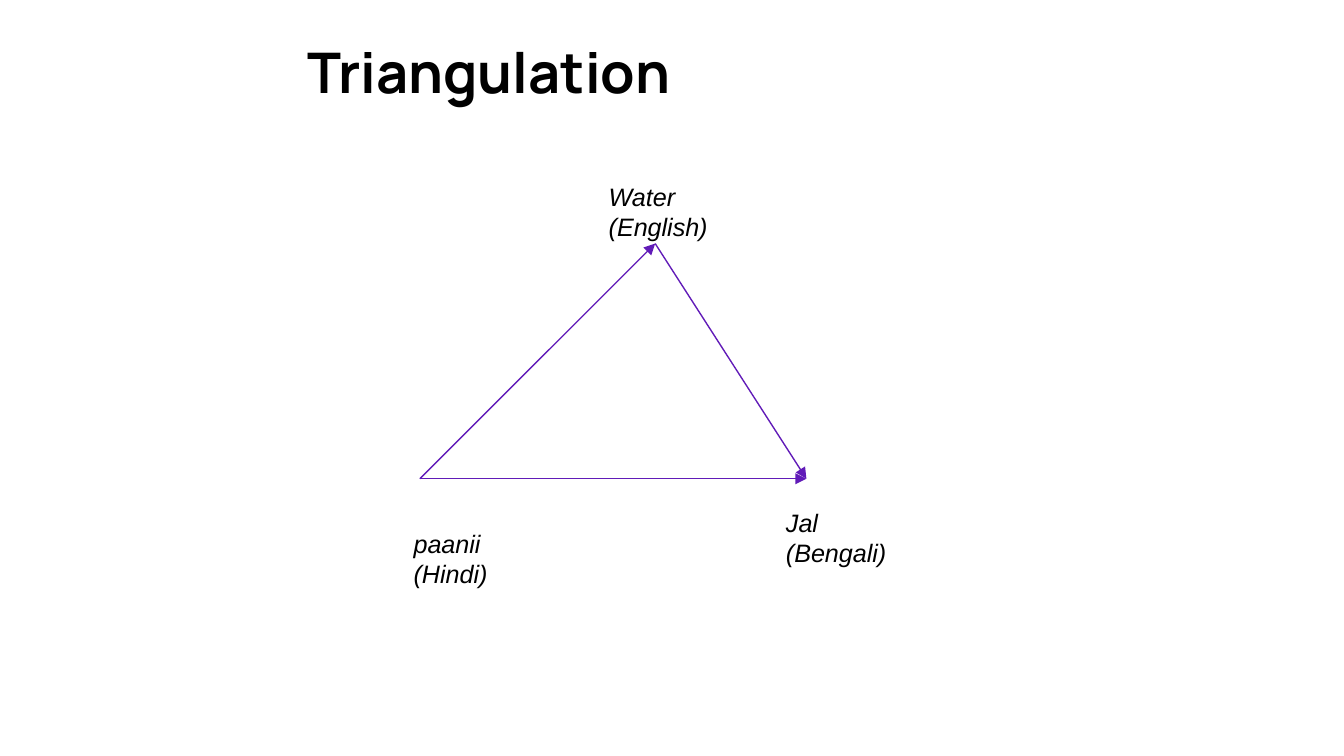
from dataclasses import dataclass

from lxml.etree import SubElement
from pptx import Presentation
from pptx.dml.color import RGBColor as RGB
from pptx.enum.shapes import MSO_CONNECTOR as CONNECTOR
from pptx.enum.text import MSO_ANCHOR as ANCHOR, MSO_AUTO_SIZE as AUTO_SIZE
from pptx.oxml.ns import qn
from pptx.util import Pt


@dataclass(frozen=True)
class Theme:
    text: RGB = RGB(0x00, 0x00, 0x00)
    arrow: RGB = RGB(0x61, 0x1B, 0xB8)
    background: RGB = RGB(0xFF, 0xFF, 0xFF)
    title_font: str = "Manrope"
    label_font: str = "Arial"
    title_size: float = 30
    label_size: float = 13.5
    arrow_width: float = 0.75


THEME = Theme()

# Corners of the triangle
HINDI, ENGLISH, BENGALI = (225, 256.5), (351, 130.5), (432, 256.5)


def add_text(s, box, lines, font, size, bold=False, italic=False, wrap=True):
    tf = s.shapes.add_textbox(*map(Pt, box)).text_frame
    tf.word_wrap = wrap
    tf.vertical_anchor = ANCHOR.TOP
    tf.text = "\n".join(lines)
    for p in tf.paragraphs:
        p.font.name, p.font.size = font, Pt(size)
        p.font.bold, p.font.italic = bold, italic
        p.font.color.rgb = THEME.text
    return tf


def add_title(s, text):
    tf = add_text(s, (157.5, 13, 460, 58.5), [text],
                  THEME.title_font, THEME.title_size, bold=True)
    tf.margin_left = tf.margin_right = tf.margin_top = tf.margin_bottom = Pt(7.2)


def add_label(s, left, top, width, word, language, wrap=False):
    tf = add_text(s, (left, top, width, 40), [word, f"({language})"],
                  THEME.label_font, THEME.label_size, italic=True, wrap=wrap)
    tf.auto_size = AUTO_SIZE.SHAPE_TO_FIT_TEXT


def add_arrow(s, start, end):
    line = s.shapes.add_connector(CONNECTOR.STRAIGHT, *map(Pt, start + end))
    line.line.color.rgb = THEME.arrow
    line.line.width = Pt(THEME.arrow_width)
    SubElement(line.line._get_or_add_ln(), qn("a:tailEnd"), type="triangle")
    SubElement(line._element.spPr, qn("a:effectLst"))


def main():
    prs = Presentation()
    prs.slide_width, prs.slide_height = Pt(720), Pt(405)
    s = prs.slides.add_slide(prs.slide_layouts[6])
    s.background.fill.solid()
    s.background.fill.fore_color.rgb = THEME.background

    add_title(s, "Triangulation")

    # Translation paths: by way of English, and direct
    for start, end in ((HINDI, ENGLISH), (ENGLISH, BENGALI), (HINDI, BENGALI)):
        add_arrow(s, start, end)

    # The word in each language
    add_label(s, 214.5, 279.5, 54.5, "paanii", "Hindi")
    add_label(s, 414, 268, 72.5, "Jal", "Bengali")
    add_label(s, 319, 93.5, 95, "Water", "English", wrap=True)

    prs.save("out.pptx")


if __name__ == "__main__":
    main()
